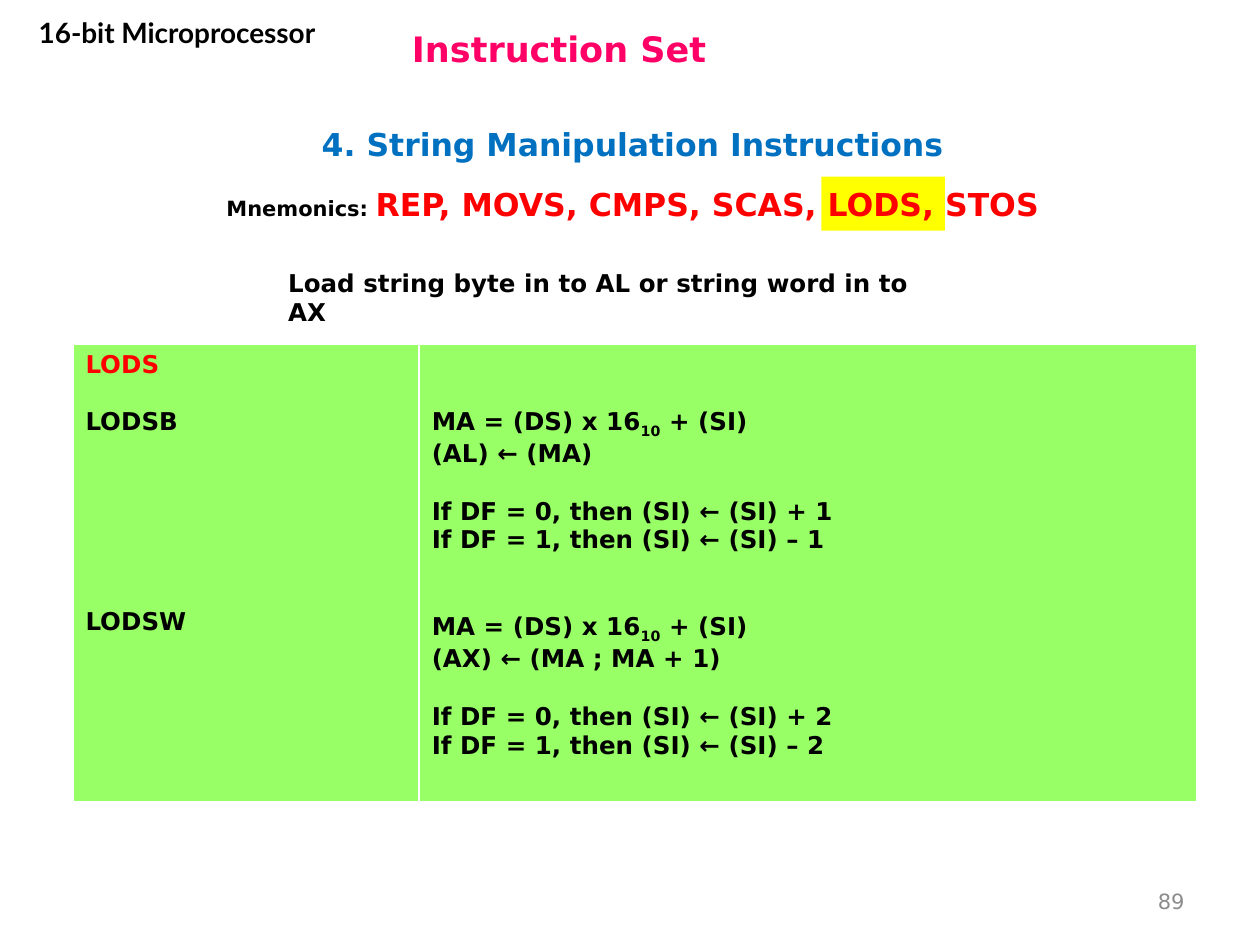
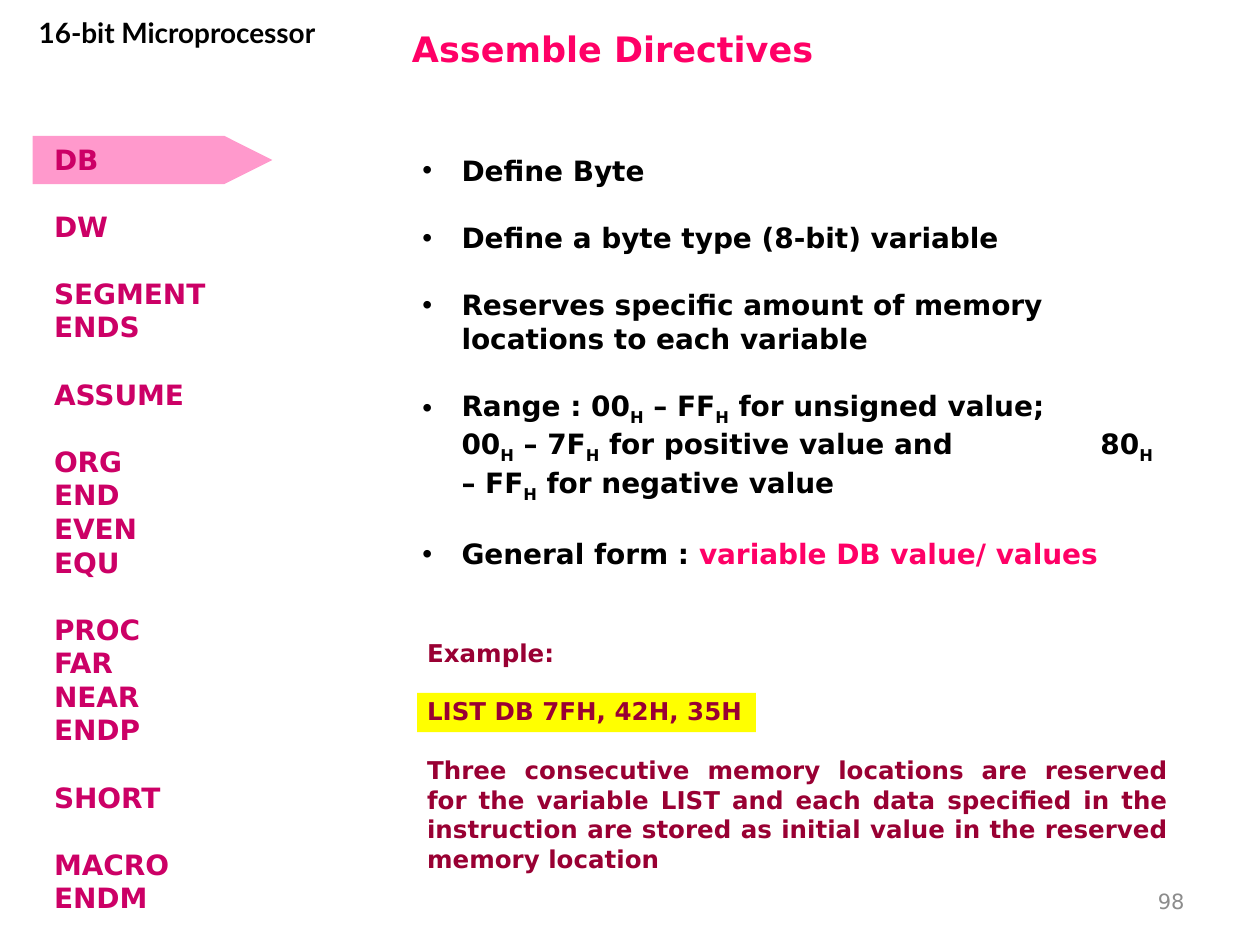
from lxml import etree
from pptx import Presentation
from pptx.dml.color import RGBColor
from pptx.enum.shapes import MSO_SHAPE
from pptx.enum.text import MSO_ANCHOR, MSO_AUTO_SIZE, PP_ALIGN
from pptx.oxml.ns import qn
from pptx.util import Cm, Pt

LEFT, CENTER, RIGHT, JUSTIFY = PP_ALIGN.LEFT, PP_ALIGN.CENTER, PP_ALIGN.RIGHT, PP_ALIGN.JUSTIFY
TOP, MIDDLE = MSO_ANCHOR.TOP, MSO_ANCHOR.MIDDLE
NO_FIT = MSO_AUTO_SIZE.NONE
RECTANGLE, POINTER = MSO_SHAPE.RECTANGLE, MSO_SHAPE.FLOWCHART_OFFPAGE_CONNECTOR
TITLE_ONLY, TITLE_AND_BODY = 5, 1
SANS, HEADER_FONT = "DejaVu Sans", "Lato"
COLORS = {
    "black": "000000", "pink": "FF0066", "blue": "0070C0", "red": "FF0000",
    "gray": "8C8C8C", "yellow": "FFFF00", "green": "99FF66", "rose": "FF99CC",
    "magenta": "CC0066", "maroon": "990033",
}

HEADER = "16-bit Microprocessor"
SECTION = "4. String Manipulation Instructions"
MNEMONICS = [(0, ("Mnemonics: ", {"size": 12, "color": "black"}),
              "REP, MOVS, CMPS, SCAS, LODS, STOS")]
SUMMARY = "Load string byte in to AL or string word in to AX"
TABLE_COLUMNS = [
    (6.98, 0.13, [
        (0, ("LODS", {"color": "red"})),
        (16.5, "LODSB"),
        (98, "LODSW"),
    ]),
    (15.67, 1.28, [
        (0, "MA = (DS) x 16~10~ + (SI)"),
        (0, "(AL) ← (MA)"),
        (16.5, "If DF = 0, then (SI) ← (SI) + 1"),
        (0, "If DF = 1, then (SI) ← (SI) – 1"),
        (33, "MA = (DS) x 16~10~ + (SI)"),
        (0, "(AX) ← (MA ; MA + 1)"),
        (16.5, "If DF = 0, then (SI) ← (SI) + 2"),
        (0, "If DF = 1, then (SI) ← (SI) – 2"),
    ]),
]

DIRECTIVE_GROUPS = [
    ["DB"], ["DW"], ["SEGMENT", "ENDS"], ["ASSUME"], ["ORG", "END", "EVEN", "EQU"],
    ["PROC", "FAR", "NEAR", "ENDP"], ["SHORT"], ["MACRO", "ENDM"],
]
DEFINITIONS = [
    ["Define Byte"],
    ["Define a byte type (8-bit) variable"],
    ["Reserves specific amount of memory locations to each variable"],
    ["Range : 00~H~ – FF~H~ for unsigned value;\n"
     "00~H~ – 7F~H~ for positive value and\t80~H~\n"
     "– FF~H~ for negative value"],
    ["General form : ", ("variable DB value/ values", {"color": "pink"})],
]
EXAMPLE = [
    "Example:",
    "LIST DB 7FH, 42H, 35H",
    "Three consecutive memory locations are reserved for the variable LIST and each data "
    "specified in the instruction are stored as initial value in the reserved memory location",
]


def rgb(name):
    return RGBColor.from_string(COLORS[name])


def add_span(para, text, size, color, font, bold):
    for line_number, line in enumerate(text.split("\n")):
        if line_number:
            para.add_line_break()
        for index, part in enumerate(line.split("~")):
            if not part:
                continue
            span = para.add_run()
            span.text = part
            span.font.size = Pt(size)
            span.font.name = font
            span.font.bold = bold
            span.font.color.rgb = rgb(color)
            if index % 2:
                span.font._element.set("baseline", "-25000")


def add_bullet(para, indent, tab_stop):
    properties = para._p.get_or_add_pPr()
    properties.set("marL", str(Cm(indent)))
    properties.set("indent", str(-Cm(indent)))
    etree.SubElement(properties, qn("a:buFont"), typeface="Arial")
    etree.SubElement(properties, qn("a:buChar"), char="•")
    tabs = etree.SubElement(properties, qn("a:tabLst"))
    etree.SubElement(tabs, qn("a:tab"), pos=str(Cm(tab_stop)), algn="l")


def write(frame, content, size=14, color="black", font=SANS, bold=True,
          align=LEFT, anchor=TOP, bullets=False):
    frame.word_wrap = True
    frame.vertical_anchor = anchor
    paragraphs = [(0, content)] if isinstance(content, str) else content
    for index, (gap, *spans) in enumerate(paragraphs):
        para = frame.add_paragraph() if index else frame.paragraphs[0]
        para.alignment = align
        para.space_before = Pt(gap)
        if bullets:
            add_bullet(para, indent=0.79, tab_stop=13.67)
        for span in spans:
            text, changes = (span, {}) if isinstance(span, str) else span
            style = {"size": size, "color": color, "font": font, "bold": bold, **changes}
            add_span(para, text, **style)


def add_text(page, place, content, **style):
    box = page.shapes.add_textbox(*map(Cm, place))
    write(box.text_frame, content, **style)


def fill_placeholder(holder, place, content, **style):
    holder.left, holder.top, holder.width, holder.height = map(Cm, place)
    holder.text_frame.auto_size = NO_FIT
    write(holder.text_frame, content, **style)


def add_block(page, kind, place, color):
    block = page.shapes.add_shape(kind, *map(Cm, place))
    block.shadow.inherit = False
    block.fill.solid()
    block.fill.fore_color.rgb = rgb(color)
    block.line.fill.background()
    return block


def add_page(deck, layout, title, number):
    page = deck.slides.add_slide(deck.slide_layouts[layout])
    fill_placeholder(page.shapes.title, (8.05, 0.3, 16.71, 1.35), title,
                     size=20, color="pink", anchor=MIDDLE)
    add_text(page, (0.18, 0.18, 6.78, 1.63), HEADER, size=16, font=HEADER_FONT, align=CENTER)
    add_text(page, (18.21, 17.65, 5.92, 1.02), number, size=12, color="gray",
             bold=False, align=RIGHT, anchor=MIDDLE)
    return page


def add_instruction_table(page):
    widths = [width for width, _, _ in TABLE_COLUMNS]
    frame = page.shapes.add_table(1, len(widths), Cm(1.47), Cm(6.93), Cm(sum(widths)), Cm(9.24))
    for index, (width, margin_top, content) in enumerate(TABLE_COLUMNS):
        frame.table.columns[index].width = Cm(width)
        cell = frame.table.cell(0, index)
        cell.fill.solid()
        cell.fill.fore_color.rgb = rgb("green")
        cell.margin_top = Cm(margin_top)
        write(cell.text_frame, content)


def build_instruction_page(deck):
    page = add_page(deck, TITLE_ONLY, "Instruction Set", "89")
    add_block(page, RECTANGLE, (16.56, 3.56, 2.49, 1.09), "yellow")
    add_text(page, (0.74, 2.36, 24.03, 1.09), SECTION, size=18, color="blue",
             align=CENTER, anchor=MIDDLE)
    add_text(page, (0.74, 3.61, 24.03, 1.02), MNEMONICS, size=18, color="red", align=CENTER)
    add_text(page, (5.56, 5.28, 13.8, 0.86), SUMMARY)
    add_instruction_table(page)


def build_directive_page(deck):
    page = add_page(deck, TITLE_AND_BODY, "Assemble Directives", "98")
    add_block(page, RECTANGLE, (8.41, 13.97, 6.83, 0.79), "yellow")
    pointer = add_block(page, POINTER, (2.59, 0.81, 0.97, 4.83), "rose")
    pointer.rotation = 270
    definitions = [(19.2 if index else 0, *spans) for index, spans in enumerate(DEFINITIONS)]
    fill_placeholder(page.placeholders[1], (8.26, 2.97, 15.67, 9.14), definitions,
                     size=16, bullets=True)
    example = [(16.8 if index else 0, text) for index, text in enumerate(EXAMPLE)]
    add_text(page, (8.36, 12.73, 15.44, 5.05), example, color="maroon", align=JUSTIFY)
    directives = [(19.2 if group_index and not index else 0, name)
                  for group_index, group in enumerate(DIRECTIVE_GROUPS)
                  for index, name in enumerate(group)]
    add_text(page, (0.84, 2.74, 4.14, 15.98), directives, size=16, color="magenta")


def main():
    deck = Presentation()
    deck.slide_width, deck.slide_height = Cm(25.4), Cm(19.05)
    build_instruction_page(deck)
    build_directive_page(deck)
    deck.save("out.pptx")


if __name__ == "__main__":
    main()
